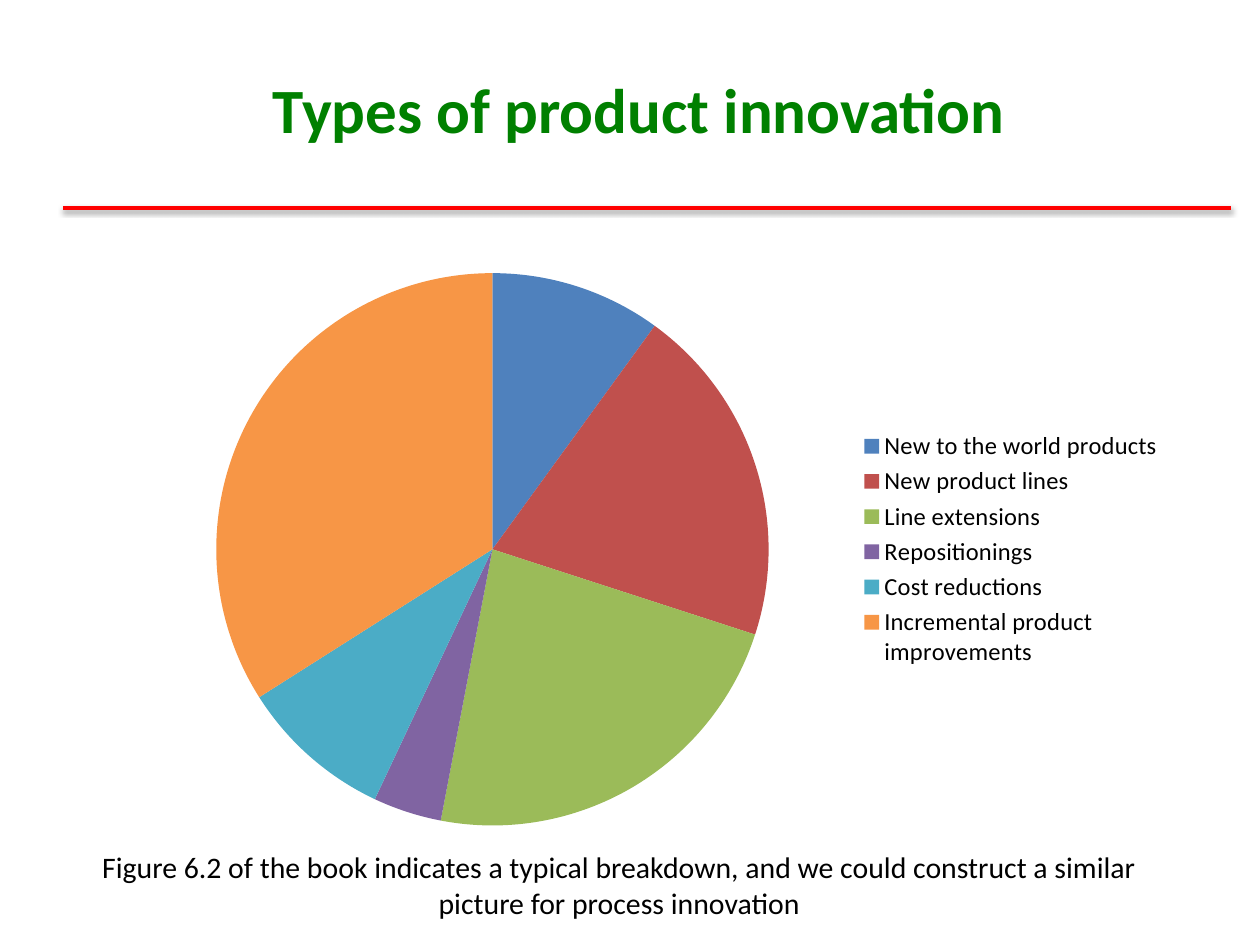
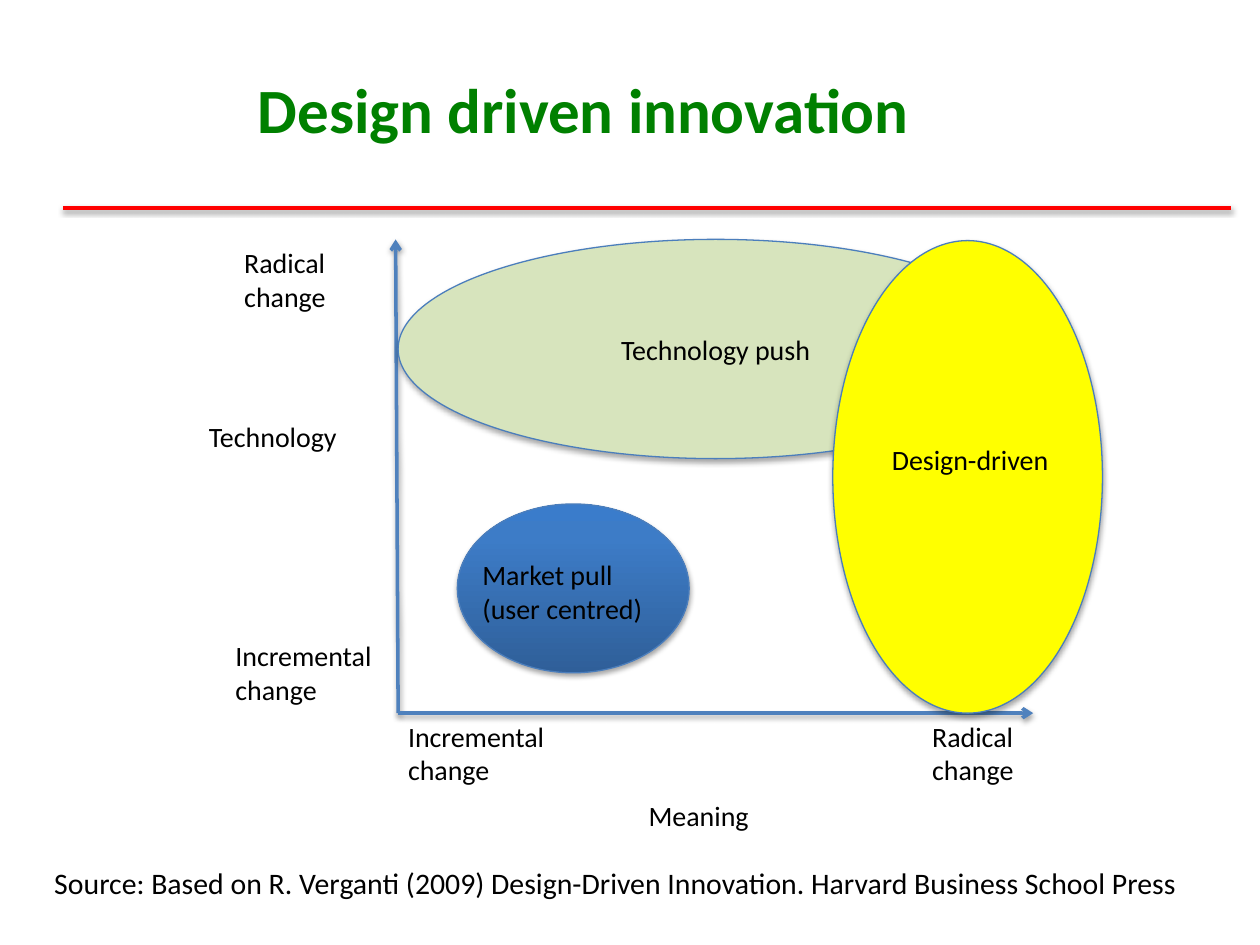
from dataclasses import dataclass

from lxml import etree
from pptx import Presentation
from pptx import util as u
from pptx.chart.data import CategoryChartData
from pptx.dml.color import RGBColor
from pptx.enum import chart, shapes, text
from pptx.oxml import parse_xml
from pptx.oxml.ns import nsdecls, qn

# Scale: 100 px to the inch
PX = 9144

FONT = "Calibri"
BLACK = RGBColor(0x00, 0x00, 0x00)
WHITE = RGBColor(0xFF, 0xFF, 0xFF)
GREEN = RGBColor(0x00, 0x80, 0x00)
RED = RGBColor(0xFF, 0x00, 0x00)
AXIS_BLUE = RGBColor(0x4F, 0x81, 0xBD)
EDGE_BLUE = RGBColor(0x4B, 0x7E, 0xBC)
PALE_GREEN = RGBColor(0xD7, 0xE4, 0xBD)
YELLOW = RGBColor(0xFF, 0xFF, 0x00)
MARKET_GRADIENT = ((0, "2F5F99"), (80, "3D7CC7"), (100, "3A7CCB"))

LABEL_PT = 16
CAPTION_PT = 17
LEFT, CENTER = text.PP_ALIGN.LEFT, text.PP_ALIGN.CENTER
TOP, MIDDLE = text.MSO_ANCHOR.TOP, text.MSO_ANCHOR.MIDDLE


@dataclass(frozen=True)
class Box:
    x: int
    y: int
    w: int
    h: int

    def emu(self) -> list[int]:
        return [v * PX for v in (self.x, self.y, self.w, self.h)]


@dataclass(frozen=True)
class Label:
    box: Box
    lines: tuple[str, ...]


@dataclass(frozen=True)
class Region:
    box: Box
    fill: RGBColor | None  # None takes the market gradient
    label: Label | None = None  # text laid over the ellipse
    inner: str = ""  # text held by the ellipse itself


@dataclass(frozen=True)
class Slice:
    name: str
    share: int
    color: RGBColor


SLICES = (
    Slice("New to the world products", 10, AXIS_BLUE),
    Slice("New product lines", 20, RGBColor(0xC0, 0x50, 0x4D)),
    Slice("Line extensions", 23, RGBColor(0x9B, 0xBB, 0x59)),
    Slice("Repositionings", 4, RGBColor(0x80, 0x64, 0xA2)),
    Slice("Cost reductions", 9, RGBColor(0x4B, 0xAC, 0xC6)),
    Slice("Incremental product improvements", 34, RGBColor(0xF7, 0x96, 0x46)),
)

INCREMENTAL = ("Incremental", "change")
RADICAL = ("Radical", "change")
ORIGIN = (316, 566)
AXIS_ENDS = ((314, 190), (820, 566))
AXIS_LABELS = (
    Label(Box(505, 629, 106, 37), ("Meaning",)),
    Label(Box(156, 328, 130, 37), ("Technology",)),
    Label(Box(177, 502, 137, 64), INCREMENTAL),
    Label(Box(184, 190, 90, 64), RADICAL),
    Label(Box(730, 566, 90, 64), RADICAL),
    Label(Box(314, 566, 137, 64), INCREMENTAL),
)
REGIONS = (
    Region(Box(363, 400, 184, 134), None,
           Label(Box(373, 438, 158, 64), ("Market pull", "(user centred)"))),
    Region(Box(316, 190, 504, 174), PALE_GREEN, inner="Technology push"),
    Region(Box(661, 191, 214, 375), YELLOW,
           Label(Box(698, 346, 155, 37), ("Design-driven",))),
)


# Shared helpers
def write(tf, lines: tuple[str, ...], size: int, color: RGBColor = BLACK,
          bold: bool = False, align=LEFT, anchor=TOP) -> None:
    tf.word_wrap = True
    tf.vertical_anchor = anchor
    for i, line in enumerate(lines):
        p = tf.paragraphs[0] if i == 0 else tf.add_paragraph()
        p.alignment = align
        r = p.add_run()
        r.text = line
        r.font.name = FONT
        r.font.size = u.Pt(size)
        r.font.bold = bold
        r.font.color.rgb = color


def add_shadow(sp, distance: float, alpha: int) -> None:
    sp._element.spPr.append(parse_xml(
        f'<a:effectLst {nsdecls("a")}><a:outerShdw blurRad="{u.Pt(3.1)}" '
        f'dist="{u.Pt(distance)}" dir="5400000" rotWithShape="0">'
        f'<a:srgbClr val="000000"><a:alpha val="{alpha * 1000}"/></a:srgbClr>'
        '</a:outerShdw></a:effectLst>'))


def add_line(parent, start: tuple[int, int], end: tuple[int, int],
             color: RGBColor, arrow: bool = False) -> None:
    sp = parent.add_connector(shapes.MSO_CONNECTOR.STRAIGHT,
                              *(v * PX for v in start + end))
    sp.line.color.rgb = color
    sp.line.width = u.Pt(2)
    if arrow:
        ln = sp._element.spPr.find(qn("a:ln"))
        etree.SubElement(ln, qn("a:tailEnd"), type="arrow")
    add_shadow(sp, 1.6, 38)


def add_label(parent, label: Label) -> None:
    sp = parent.add_textbox(*label.box.emu())
    write(sp.text_frame, label.lines, LABEL_PT)


def start_slide(prs, title: str, title_x: int, caption: str, caption_box: Box):
    s = prs.slides.add_slide(prs.slide_layouts[6])
    add_line(s.shapes, (50, 165), (977, 165), RED)
    heading = s.shapes.add_textbox(*Box(title_x, 36, 628, 100).emu())
    write(heading.text_frame, (title,), 36, GREEN, True, CENTER, MIDDLE)
    sp = s.shapes.add_shape(shapes.MSO_SHAPE.RECTANGLE, *caption_box.emu())
    sp.shadow.inherit = False
    sp.fill.solid()
    sp.fill.fore_color.rgb = WHITE
    sp.line.fill.background()
    write(sp.text_frame, (caption,), CAPTION_PT, align=CENTER)
    return s


# Pie of innovation types
def add_pie(s) -> None:
    data = CategoryChartData()
    data.categories = [item.name for item in SLICES]
    data.add_series("Series 1", [item.share for item in SLICES])
    pie = s.shapes.add_chart(chart.XL_CHART_TYPE.PIE,
                             *Box(102, 203, 831, 466).emu(), data).chart
    pie.has_title = False
    pie.font.name = FONT
    pie.font.size = u.Pt(10)
    pie.font.color.rgb = BLACK
    pie.has_legend = True
    pie.legend.position = chart.XL_LEGEND_POSITION.RIGHT
    pie.legend.include_in_layout = False
    pie.legend.font.name = FONT
    pie.legend.font.size = u.Pt(14)
    pie.legend.font.color.rgb = BLACK
    pie.plots[0].vary_by_categories = True
    for i, item in enumerate(SLICES):
        fill = pie.plots[0].series[0].points[i].format.fill
        fill.solid()
        fill.fore_color.rgb = item.color


# Technology and meaning map
def add_region(parent, region: Region) -> None:
    sp = parent.add_shape(shapes.MSO_SHAPE.OVAL, *region.box.emu())
    if region.fill is None:
        stops = "".join(f'<a:gs pos="{pos * 1000}"><a:srgbClr val="{color}"/></a:gs>'
                        for pos, color in MARKET_GRADIENT)
        sp._element.spPr.find(qn("a:prstGeom")).addnext(parse_xml(
            f'<a:gradFill {nsdecls("a")} rotWithShape="1"><a:gsLst>{stops}</a:gsLst>'
            '<a:lin ang="16200000" scaled="0"/></a:gradFill>'))
    else:
        sp.fill.solid()
        sp.fill.fore_color.rgb = region.fill
    sp.line.color.rgb = EDGE_BLUE
    sp.line.width = u.Pt(0.75)
    add_shadow(sp, 1.8, 35)
    if region.inner:
        write(sp.text_frame, (region.inner,), LABEL_PT, align=CENTER, anchor=MIDDLE)
    if region.label:
        add_label(parent, region.label)


def add_map(s) -> None:
    group = s.shapes.add_group_shape().shapes
    for end in AXIS_ENDS:
        add_line(group, ORIGIN, end, AXIS_BLUE, arrow=True)
    for label in AXIS_LABELS:
        add_label(group, label)
    for region in REGIONS:
        add_region(group, region)


def main() -> None:
    prs = Presentation()
    prs.slide_width, prs.slide_height = 1000 * PX, 750 * PX
    add_pie(start_slide(
        prs, "Types of product innovation", 193,
        "Figure 6.2 of the book indicates a typical breakdown, and we could "
        "construct a similar picture for process innovation",
        Box(50, 669, 883, 67)))
    add_map(start_slide(
        prs, "Design driven innovation", 149,
        "Source: Based on R. Verganti (2009) Design-Driven Innovation. "
        "Harvard Business School Press",
        Box(0, 681, 977, 39)))
    prs.save("out.pptx")


if __name__ == "__main__":
    main()
